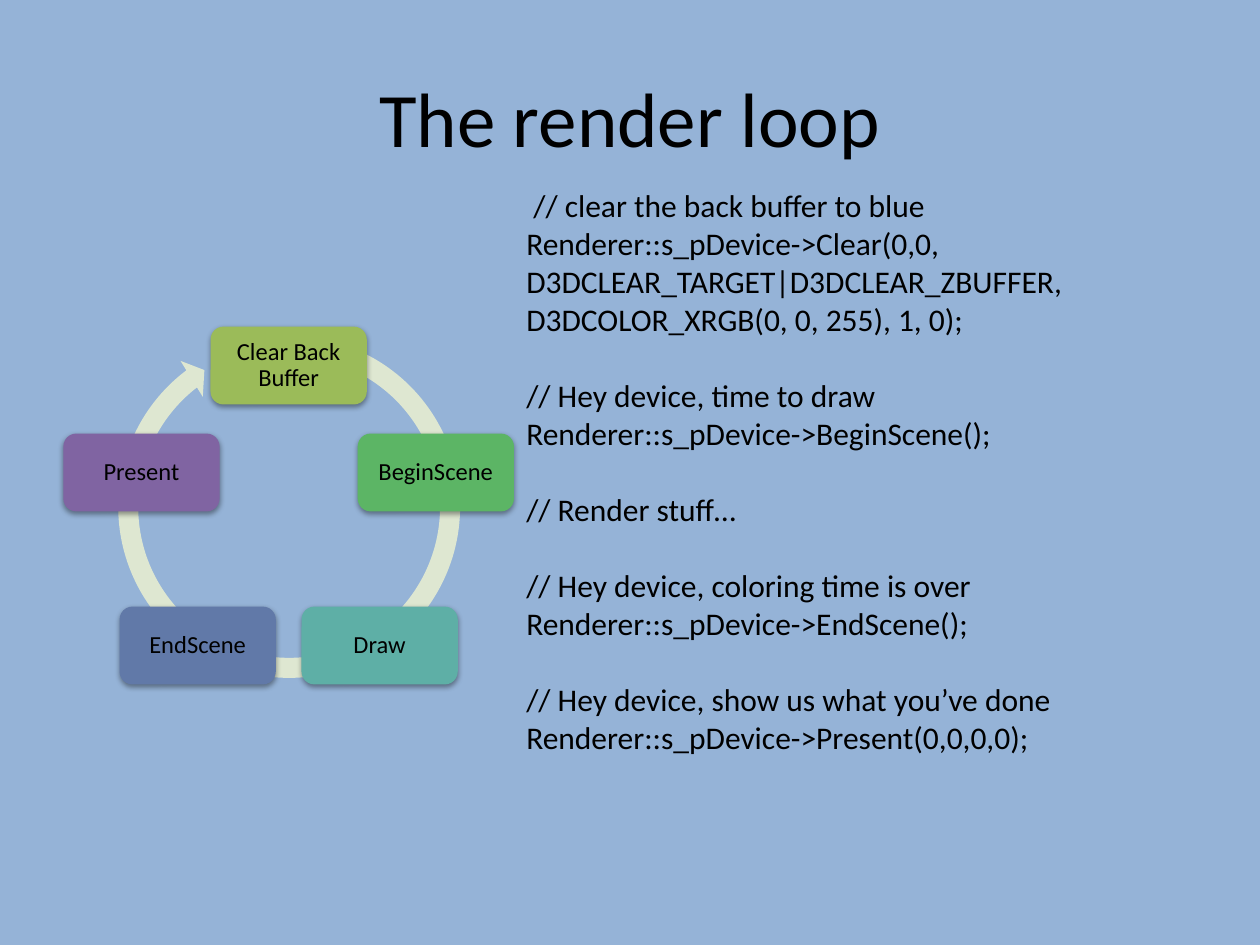
"""Build the slide that explains the render loop."""
from math import cos, radians, sin

from lxml import etree
from pptx import Presentation
from pptx.dml.color import RGBColor
from pptx.enum.shapes import MSO_SHAPE
from pptx.enum.text import MSO_ANCHOR, PP_ALIGN
from pptx.oxml.ns import qn
from pptx.util import Cm, Pt

ROUNDED = MSO_SHAPE.ROUNDED_RECTANGLE
CIRCULAR_ARROW = MSO_SHAPE.CIRCULAR_ARROW
TOP, MIDDLE = MSO_ANCHOR.TOP, MSO_ANCHOR.MIDDLE
LEFT, CENTER = PP_ALIGN.LEFT, PP_ALIGN.CENTER

FONT = "Calibri"
CODE_LINE_HEIGHT = 22
CENTER_X, CENTER_Y, RADIUS = 5.82, 10.49, 3.12
STEP_WIDTH, STEP_HEIGHT = 3.15, 1.57
STEPS = [
    ("Clear Back Buffer", "9BBB59"),
    ("BeginScene", "5CB565"),
    ("Draw", "5EAFA6"),
    ("EndScene", "6179A8"),
    ("Present", "8064A2"),
]
ARROW_ADJUSTMENTS = (0.055, 3.307, 139.632, 172.73, 0.058)
CODE_BLOCKS = [
    [
        " // clear the back buffer to blue",
        "Renderer::s_pDevice->Clear(0,0,\vD3DCLEAR_TARGET|D3DCLEAR_ZBUFFER,"
        "\vD3DCOLOR_XRGB(0, 0, 255), 1, 0);",
    ],
    ["// Hey device, time to draw", "Renderer::s_pDevice->BeginScene();"],
    ["// Render stuff…"],
    ["// Hey device, coloring time is over", "Renderer::s_pDevice->EndScene();"],
    ["// Hey device, show us what you’ve done", "Renderer::s_pDevice->Present(0,0,0,0);"],
]


def set_fill(fill, color):
    """Make a fill solid in a hex colour."""
    fill.solid()
    fill.fore_color.rgb = RGBColor.from_string(color)


def write_paragraph(paragraph, text, size=18, color="000000", align=LEFT,
                    line_spacing=1.0, space_before=0):
    """Write text into a paragraph and format it."""
    paragraph.text = text
    paragraph.alignment = align
    paragraph.line_spacing = line_spacing
    paragraph.space_before = Pt(space_before)
    for run in paragraph.runs:
        run.font.name = FONT
        run.font.size = Pt(size)
        set_fill(run.font.fill, color)


def add_text_frame(slide, left, top, width, height, anchor=TOP):
    """Add a wrapping text box and return its text frame."""
    box = slide.shapes.add_textbox(Cm(left), Cm(top), Cm(width), Cm(height))
    box.text_frame.word_wrap = True
    box.text_frame.vertical_anchor = anchor
    return box.text_frame


def add_filled_shape(slide, kind, left, top, width, height, color):
    """Add a preset shape with a plain fill and no outline."""
    shape = slide.shapes.add_shape(kind, Cm(left), Cm(top), Cm(width), Cm(height))
    shape.shadow.inherit = False
    set_fill(shape.fill, color)
    shape.line.fill.background()
    return shape


def add_drop_shadow(shape):
    """Give a shape a soft shadow that falls downwards."""
    effects = shape.element.spPr.find(qn("a:effectLst"))
    shadow = etree.SubElement(effects, qn("a:outerShdw"), blurRad=str(Pt(3.1)),
                              dist=str(Pt(1.6)), dir="5400000", rotWithShape="0")
    color = etree.SubElement(shadow, qn("a:srgbClr"), val="000000")
    etree.SubElement(color, qn("a:alpha"), val="38000")


def add_step(slide, text, color, angle):
    """Add one step of the loop, at an angle clockwise from the top."""
    left = CENTER_X + RADIUS * sin(radians(angle)) - STEP_WIDTH / 2
    top = CENTER_Y - RADIUS * cos(radians(angle)) - STEP_HEIGHT / 2
    shape = add_filled_shape(slide, ROUNDED, left, top, STEP_WIDTH, STEP_HEIGHT, color)
    add_drop_shadow(shape)
    frame = shape.text_frame
    frame.word_wrap = True
    frame.vertical_anchor = MIDDLE
    frame.margin_left = frame.margin_right = Cm(0.15)
    frame.margin_top = frame.margin_bottom = Cm(0.15)
    write_paragraph(frame.paragraphs[0], text, size=14, align=CENTER, line_spacing=0.9)


def add_loop(slide):
    """Add the circular arrow and the steps spread evenly along it."""
    arrow = add_filled_shape(slide, CIRCULAR_ARROW, 2.16, 6.55, 7.34, 7.34, "DEE7D1")
    for index, value in enumerate(ARROW_ADJUSTMENTS):
        arrow.adjustments[index] = value
    for index, (text, color) in enumerate(STEPS):
        add_step(slide, text, color, index * 360 / len(STEPS))


def add_code(slide):
    """Add the code listing with a line of space between its blocks."""
    frame = add_text_frame(slide, 10.36, 3.63, 15.04, 11.79)
    paragraph = frame.paragraphs[0]
    for block_index, block in enumerate(CODE_BLOCKS):
        for line_index, line in enumerate(block):
            if block_index or line_index:
                paragraph = frame.add_paragraph()
            starts_new_block = block_index > 0 and line_index == 0
            write_paragraph(paragraph, line,
                            space_before=CODE_LINE_HEIGHT if starts_new_block else 0)


def main():
    """Build and save the presentation."""
    presentation = Presentation()
    presentation.slide_width, presentation.slide_height = Cm(25.4), Cm(19.05)
    slide = presentation.slides.add_slide(presentation.slide_layouts[6])
    set_fill(slide.background.fill, "95B3D7")
    title = add_text_frame(slide, 1.27, 0.76, 22.86, 3.18, anchor=MIDDLE)
    write_paragraph(title.paragraphs[0], "The render loop", size=44, align=CENTER)
    add_loop(slide)
    add_code(slide)
    presentation.save("out.pptx")


if __name__ == "__main__":
    main()
